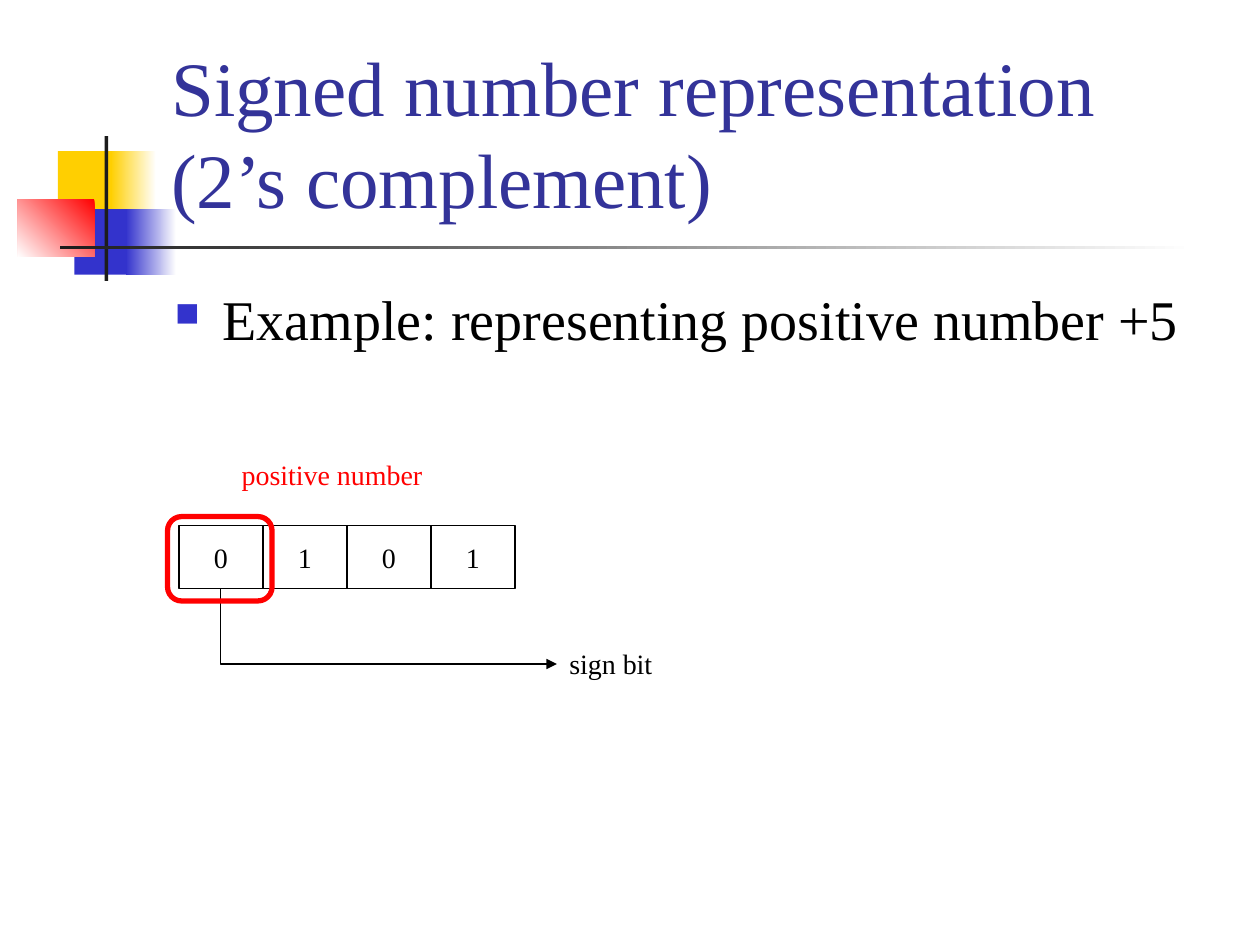
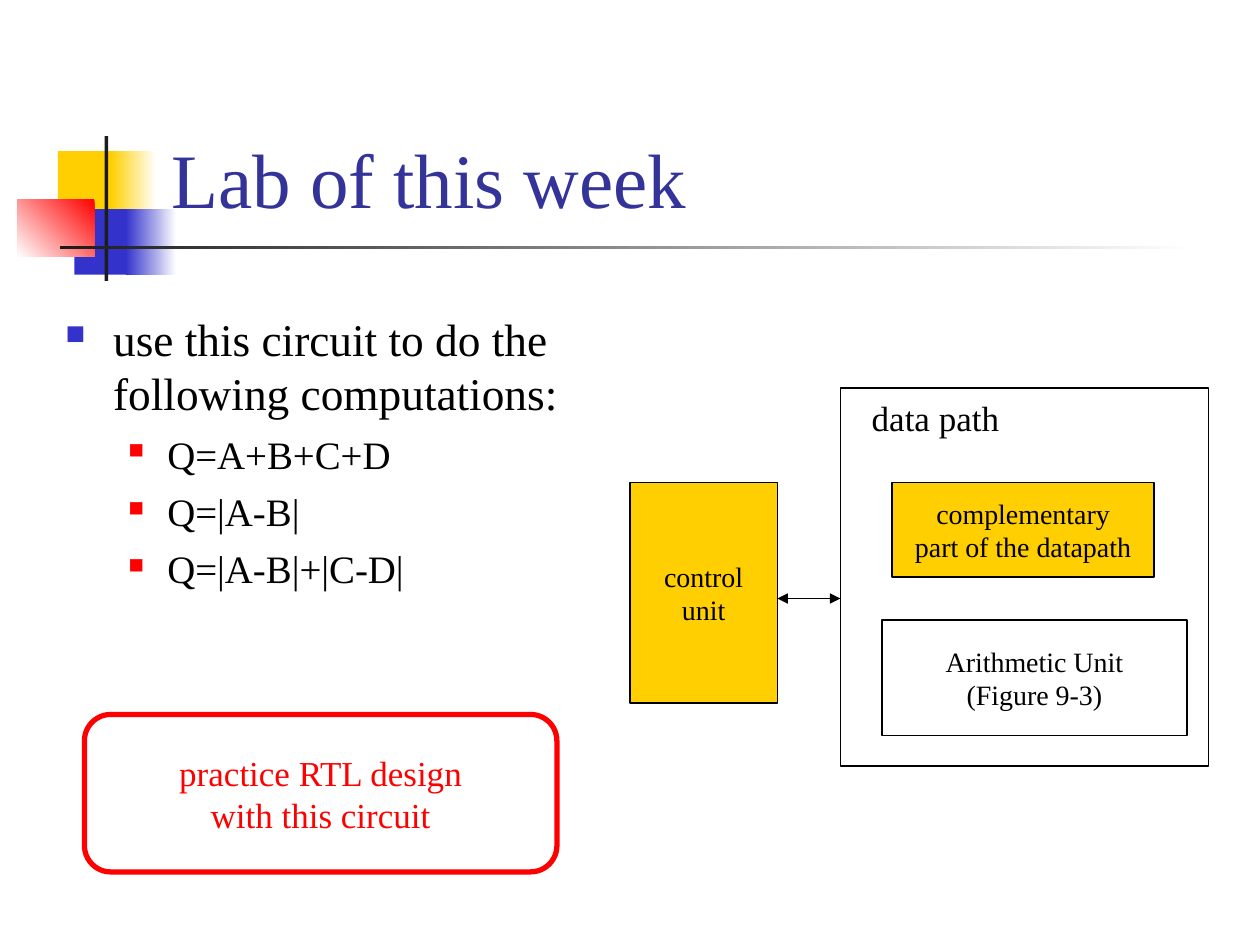
from dataclasses import dataclass

from lxml import etree
from pptx import Presentation
from pptx.dml.color import RGBColor
from pptx.enum.shapes import MSO_CONNECTOR, MSO_SHAPE
from pptx.enum.text import MSO_ANCHOR, MSO_AUTO_SIZE, PP_ALIGN
from pptx.oxml.ns import qn
from pptx.util import Inches, Pt

RECT, ROUND = MSO_SHAPE.RECTANGLE, MSO_SHAPE.ROUNDED_RECTANGLE
STRAIGHT, ELBOW = MSO_CONNECTOR.STRAIGHT, MSO_CONNECTOR.ELBOW
LEFT, CENTER = PP_ALIGN.LEFT, PP_ALIGN.CENTER
TOP, MIDDLE, BOTTOM = MSO_ANCHOR.TOP, MSO_ANCHOR.MIDDLE, MSO_ANCHOR.BOTTOM
NO_AUTOFIT = MSO_AUTO_SIZE.NONE


@dataclass(frozen=True)
class Theme:
    font: str = "Times New Roman"
    title: str = "333399"
    ink: str = "000000"
    dark: str = "1C1C1C"
    white: str = "FFFFFF"
    yellow: str = "FFCF01"
    blue: str = "3333CC"
    red: str = "FF0000"
    title_size: float = 44
    body_size: float = 32
    list_size: float = 25.9
    sublist_size: float = 22.2
    note_size: float = 20
    label_size: float = 16
    thin: float = 0.75
    thick: float = 3


T = Theme()


def write(tf, text, size=T.label_size, color=T.ink, align=LEFT, anchor=TOP,
          wrap=False, before=0, bullet=None):
    """Append each line of text as a paragraph; bullet is (margin, hang, colour, percent)."""
    tf.word_wrap, tf.vertical_anchor, tf.auto_size = wrap, anchor, NO_AUTOFIT
    for line in text.split("\n"):
        p = tf.add_paragraph() if tf.text else tf.paragraphs[0]
        p.alignment, p.space_before = align, Pt(before)
        r = p.add_run()
        r.text = line
        r.font.name, r.font.size = T.font, Pt(size)
        r.font.color.rgb = RGBColor.from_string(color)
        if bullet:
            margin, hang, bullet_color, percent = bullet
            pPr = p._p.get_or_add_pPr()
            pPr.set("marL", str(Inches(margin)))
            pPr.set("indent", str(-Inches(hang)))
            buClr = etree.SubElement(pPr, qn("a:buClr"))
            etree.SubElement(buClr, qn("a:srgbClr"), val=bullet_color)
            etree.SubElement(pPr, qn("a:buSzPct"), val=str(percent * 1000))
            etree.SubElement(pPr, qn("a:buChar"), char="■")


def add_box(s, box, kind=RECT, fill=None, line=T.ink, width=T.thin, text="", **fmt):
    sp = s.shapes.add_shape(kind, *map(Inches, box))
    sp.shadow.inherit = False
    if kind == ROUND:
        sp.adjustments[0] = 0.167
    if fill:
        sp.fill.solid()
        sp.fill.fore_color.rgb = RGBColor.from_string(fill)
    else:
        sp.fill.background()
    if line:
        sp.line.color.rgb = RGBColor.from_string(line)
        sp.line.width = Pt(width)
    else:
        sp.line.fill.background()
    if text:
        write(sp.text_frame, text, align=CENTER, anchor=MIDDLE, **fmt)
    return sp


prs = Presentation()
prs.slide_width, prs.slide_height = Inches(10), Inches(7.5)

# Shared ornament and title: (box, start colour, end colour or None, angle)
ornament = [
    ((0.46, 1.2, 0.48, 0.52), T.yellow, None, 0),
    ((0.88, 1.2, 0.36, 0.52), T.white, T.yellow, 180),
    ((0.59, 1.66, 0.46, 0.52), T.blue, None, 0),
    ((1, 1.66, 0.4, 0.52), T.white, T.blue, 180),
    ((0.14, 1.58, 0.61, 0.46), T.red, T.white, 225),
    ((0.83, 1.08, 0.03, 1.15), T.dark, None, 0),
    ((0.48, 1.95, 9, 0.03), T.white, T.dark, 180),
]
slides = []
for heading in ("Signed number representation (2’s complement)", "Lab of this week"):
    s = prs.slides.add_slide(prs.slide_layouts[5])
    for box, start, end, angle in ornament:
        sp = add_box(s, box, fill=start, line=None)
        if end:
            sp.fill.gradient()
            sp.fill.gradient_angle = angle
            for stop, color in zip(sp.fill.gradient_stops, (start, end)):
                stop.color.rgb = RGBColor.from_string(color)
    title = s.shapes.title
    title.left, title.top, title.width, title.height = map(Inches, (1.26, 0.23, 8.52, 1.6))
    write(title.text_frame, heading, size=T.title_size, color=T.title, anchor=BOTTOM, wrap=True)
    title.element.getparent().append(title.element)  # in front of the ornament
    slides.append(s)
sign_slide, lab_slide = slides

# Text boxes: (slide, box, paragraphs with their format)
main_bullet = (0.38, 0.38, T.blue, 60)
sub_format = dict(size=T.sublist_size, wrap=True, before=6, bullet=(0.81, 0.31, T.red, 55))
texts = [
    (sign_slide, (1.29, 2.21, 8.5, 1.38), [
        ("Example: representing positive number +5",
         dict(size=T.body_size, wrap=True, before=8, bullet=main_bullet))]),
    (sign_slide, (4.42, 5.08, 0.86, 0.37), [("sign bit", {})]),
    (sign_slide, (1.82, 3.58, 1.63, 0.37), [("positive number", dict(color=T.red))]),
    (lab_slide, (0.42, 2.42, 4.33, 2.58), [
        ("use this circuit to do the following computations:",
         dict(size=T.list_size, wrap=True, before=7, bullet=main_bullet)),
        ("Q=A+B+C+D\nQ=|A-B|\nQ=|A-B|+|C-D|", sub_format)]),
    (lab_slide, (6.82, 3.1, 1.21, 0.44), [("data path", dict(size=T.note_size))]),
]
for s, box, paragraphs in texts:
    tf = s.shapes.add_textbox(*map(Inches, box)).text_frame
    for text, fmt in paragraphs:
        write(tf, text, **fmt)

# Slide 1: four bits, the first one marked as the sign
bit_width = 2 / 3
for i, bit in enumerate("0101"):
    add_box(sign_slide, (1.42 + i * bit_width, 4.17, bit_width, 0.5), text=bit)

# The elbow is laid out upright about its centre, then turned by 270 degrees
x1, y1, x2, y2 = 1.75, 4.67, 4.42, 5.27
cx, cy, half_w, half_h = (x1 + x2) / 2, (y1 + y2) / 2, (y2 - y1) / 2, (x2 - x1) / 2
sign_arrow = sign_slide.shapes.add_connector(
    ELBOW, *map(Inches, (cx + half_w, cy - half_h, cx - half_w, cy + half_h)))
spPr = sign_arrow.element.spPr
spPr.find(qn("a:xfrm")).set("rot", str(270 * 60000))
spPr.find(qn("a:prstGeom")).set("prst", "bentConnector2")

add_box(sign_slide, (1.33, 4.1, 0.83, 0.67), ROUND, line=T.red, width=T.thick)

# Slide 2: control unit and data path
add_box(lab_slide, (7, 4.92, 2.42, 0.92), text="Arithmetic Unit\n(Figure 9-3)")
add_box(lab_slide, (7.08, 3.83, 2.08, 0.75), fill=T.yellow,
        text="complementary\npart of the datapath")
add_box(lab_slide, (6.67, 3.08, 2.92, 3))
add_box(lab_slide, (5, 3.83, 1.17, 1.75), fill=T.yellow, text="control\nunit")
unit_arrow = lab_slide.shapes.add_connector(STRAIGHT, *map(Inches, (6.17, 4.75, 6.67, 4.75)))
add_box(lab_slide, (0.67, 5.67, 3.75, 1.25), ROUND, line=T.red, width=T.thick,
        text="practice RTL design\nwith this circuit", size=T.note_size, color=T.red)

for arrow, ends in ((sign_arrow, ["tailEnd"]), (unit_arrow, ["headEnd", "tailEnd"])):
    arrow.line.color.rgb = RGBColor.from_string(T.ink)
    arrow.line.width = Pt(T.thin)
    spPr = arrow.element.spPr
    for end in ends:
        etree.SubElement(spPr.find(qn("a:ln")), qn(f"a:{end}"), type="triangle")
    etree.SubElement(spPr, qn("a:effectLst"))

prs.save("out.pptx")
